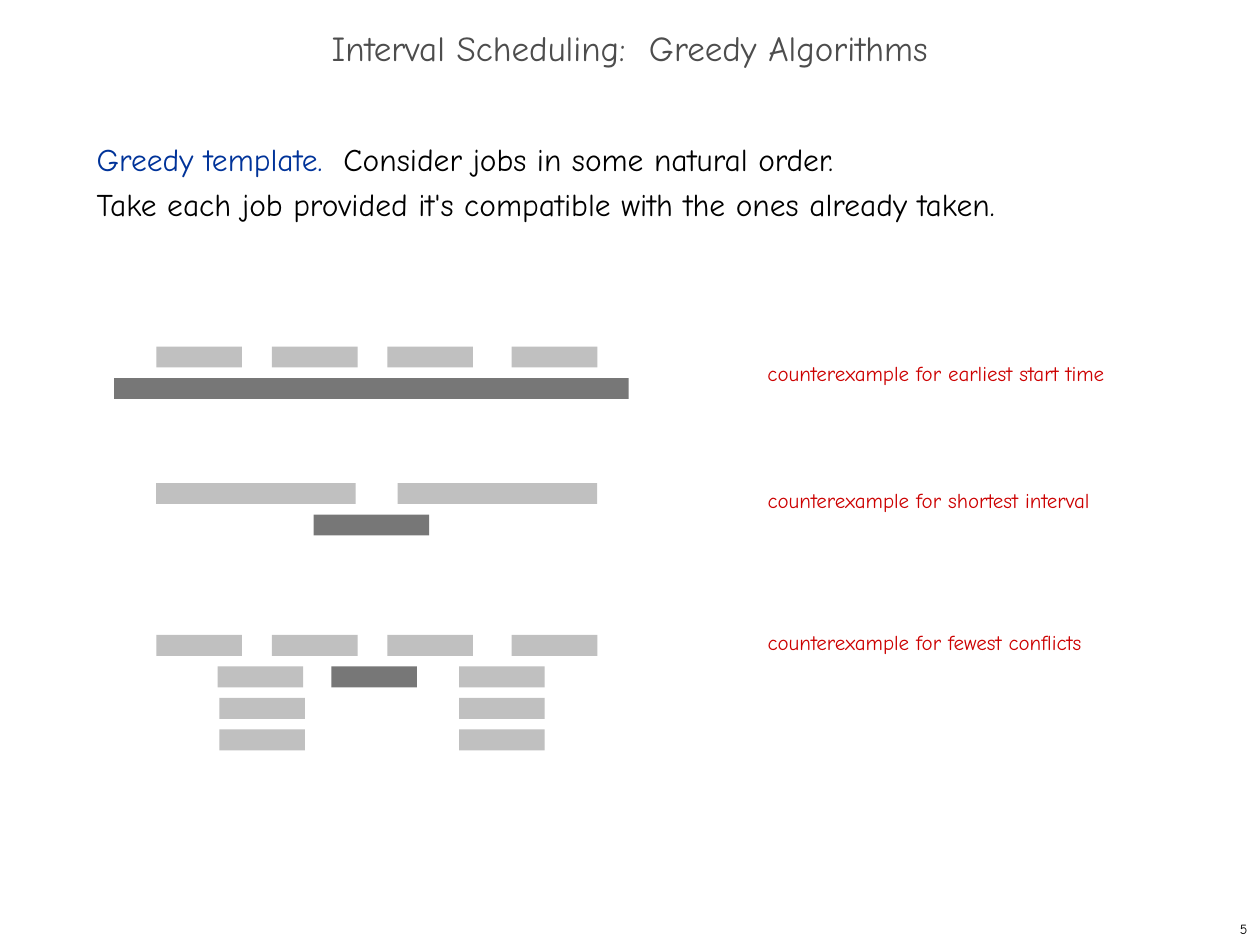
from lxml.etree import SubElement
from pptx import Presentation
from pptx.dml.color import RGBColor
from pptx.enum.shapes import MSO_SHAPE
from pptx.enum.text import MSO_ANCHOR, MSO_AUTO_SIZE, PP_ALIGN
from pptx.oxml.ns import qn
from pptx.util import Pt

BLACK = RGBColor(0x00, 0x00, 0x00)
TITLE_GRAY = RGBColor(0x4D, 0x4D, 0x4D)
TERM_BLUE = RGBColor(0x00, 0x33, 0x99)
NOTE_RED = RGBColor(0xCC, 0x00, 0x00)
JOB_GRAY = RGBColor(0xC0, 0xC0, 0xC0)
GREEDY_GRAY = RGBColor(0x77, 0x77, 0x77)

# Job rows, in points
BAR_HEIGHT = 12
ROW_STEP = 18
JOB_WIDTH = 49
OPTIMAL_LEFTS = (89.3, 155.3, 221.3, 292.3)
OPTIMAL_JOBS = [(0, left, JOB_WIDTH, JOB_GRAY) for left in OPTIMAL_LEFTS]
NOTE_LEFT = 431.5


def add_text(paragraph, text, *, size, color, font="Comic Neue"):
    run = paragraph.add_run()
    run.text = text
    run.font.name = font
    run.font.size = Pt(size)
    run.font.bold = False
    run.font.color.rgb = color


class SlideBuilder:
    """Holds the type sizes and the slide being built."""

    title_size = 20
    body_size = 18
    note_size = 12
    number_size = 8

    def __init__(self, slide):
        self.slide = slide

    def place(self, shape, left, top, width, height):
        shape.left, shape.top = Pt(left), Pt(top)
        shape.width, shape.height = Pt(width), Pt(height)
        shape.text_frame.auto_size = MSO_AUTO_SIZE.NONE
        return shape.text_frame

    def title(self, text, *box):
        frame = self.place(self.slide.shapes.title, *box)
        frame.vertical_anchor = MSO_ANCHOR.MIDDLE
        heading = frame.paragraphs[0]
        heading.alignment = PP_ALIGN.CENTER
        heading.line_spacing = 0.7
        add_text(heading, text, size=self.title_size, color=TITLE_GRAY)

    def body(self, term, lines, *box):
        frame = self.place(self.slide.placeholders[1], *box)
        frame.vertical_anchor = MSO_ANCHOR.TOP
        rule = frame.paragraphs[0]
        rule.line_spacing = Pt(26)
        rule.space_before = Pt(0)
        # Plain text without bullet or hanging indent
        properties = rule._p.get_or_add_pPr()
        properties.set("marL", "0")
        properties.set("indent", "0")
        SubElement(properties, qn("a:buNone"))
        add_text(rule, term, size=self.body_size, color=TERM_BLUE)
        for index, line in enumerate(lines):
            if index:
                rule.add_line_break()
            add_text(rule, line, size=self.body_size, color=BLACK)

    def bar(self, group, left, top, width, color):
        job = group.shapes.add_shape(
            MSO_SHAPE.RECTANGLE, Pt(left), Pt(top), Pt(width), Pt(BAR_HEIGHT))
        job.shadow.inherit = False
        job.fill.solid()
        job.fill.fore_color.rgb = color
        job.line.fill.background()

    def label(self, shapes, text, *box, size, color, align=PP_ALIGN.LEFT,
              anchor=MSO_ANCHOR.TOP, fit=MSO_AUTO_SIZE.NONE):
        frame = shapes.add_textbox(*map(Pt, box)).text_frame
        frame.word_wrap = False
        frame.auto_size = fit
        frame.vertical_anchor = anchor
        frame.paragraphs[0].alignment = align
        add_text(frame.paragraphs[0], text, size=size, color=color)

    def counterexample(self, note, top, note_top, note_width, jobs):
        group = self.slide.shapes.add_group_shape()
        for row, left, width, color in jobs:
            self.bar(group, left, top + row * ROW_STEP, width, color)
        self.label(group.shapes, f"counterexample for {note}",
                   NOTE_LEFT, note_top, note_width, 21.6,
                   size=self.note_size, color=NOTE_RED,
                   fit=MSO_AUTO_SIZE.SHAPE_TO_FIT_TEXT)

    def slide_number(self, number, *box):
        self.label(self.slide.shapes, number, *box,
                   size=self.number_size, color=BLACK,
                   align=PP_ALIGN.RIGHT, anchor=MSO_ANCHOR.MIDDLE)


def main():
    deck = Presentation()
    deck.slide_width, deck.slide_height = Pt(720), Pt(540)
    builder = SlideBuilder(deck.slides.add_slide(deck.slide_layouts[1]))

    # Heading and greedy rule
    builder.slide_number("5", 570, 522, 150, 18)
    builder.title("Interval Scheduling:  Greedy Algorithms", 0, 12, 720, 36)
    builder.body("Greedy template.  ",
                 ["Consider jobs in some natural order.",
                  "Take each job provided it's compatible with the ones already taken."],
                 48, 72, 618, 426)

    # One long job blocks all the others
    builder.counterexample("earliest start time", 198, 202.5, 232.5,
                           OPTIMAL_JOBS + [(1, 65.3, 294, GREEDY_GRAY)])

    # A short job overlaps two long ones
    builder.counterexample("shortest interval", 276, 275, 223,
                           [(0, 89.3, 114, JOB_GRAY),
                            (0, 227.3, 114, JOB_GRAY),
                            (1, 179.3, 66, GREEDY_GRAY)])

    # Stacked jobs add conflicts on both sides of the middle job
    stacked_jobs = [(row, left, JOB_WIDTH, JOB_GRAY)
                    for lefts in ((124.3, 125.3, 125.3), (262.3,) * 3)
                    for row, left in enumerate(lefts, start=1)]
    builder.counterexample("fewest conflicts", 362.8, 356, 220.5,
                           OPTIMAL_JOBS + stacked_jobs
                           + [(1, 189.3, JOB_WIDTH, GREEDY_GRAY)])

    deck.save("out.pptx")


if __name__ == "__main__":
    main()
